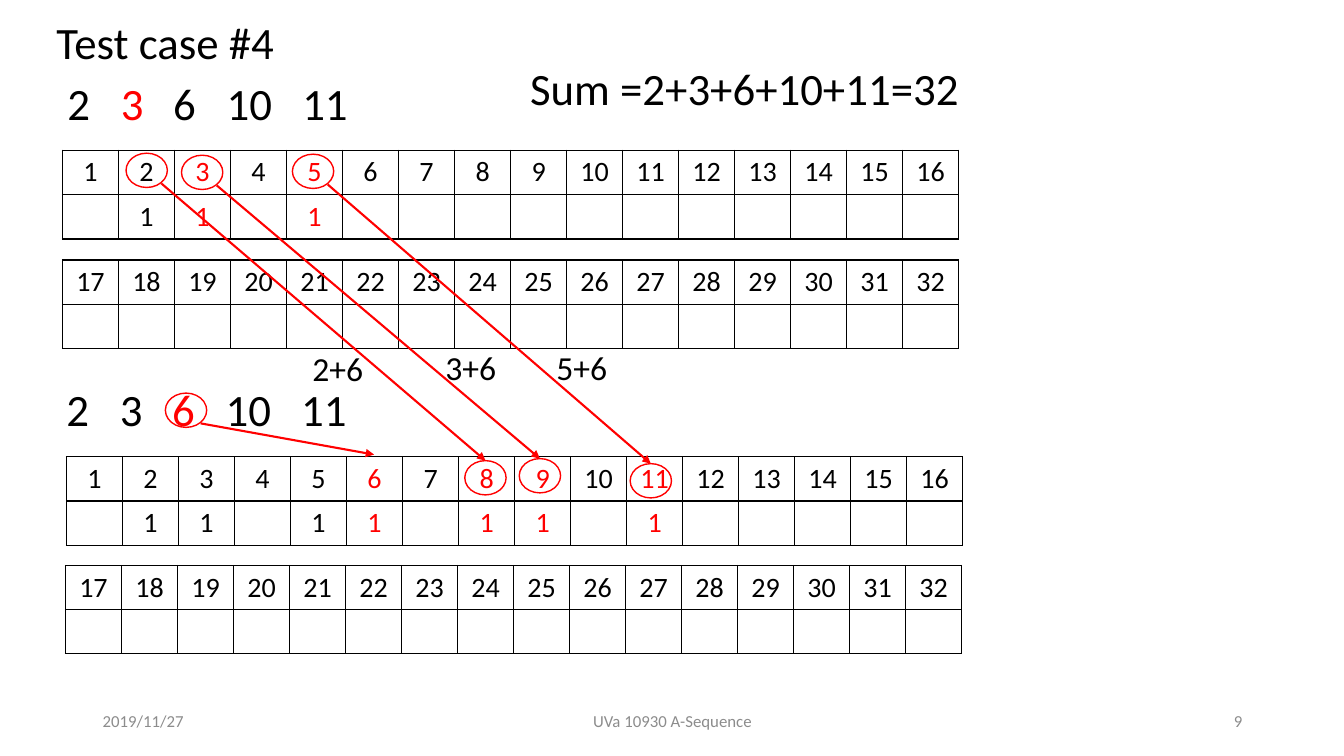
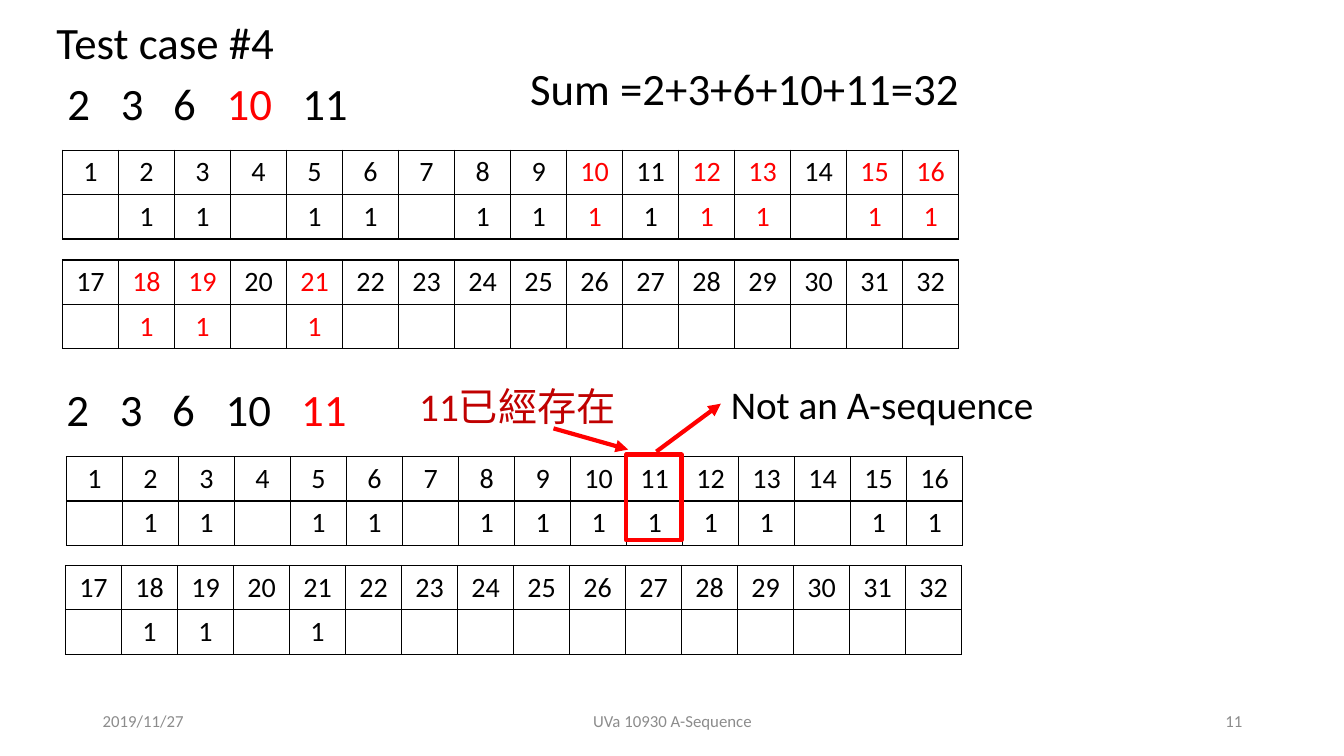
from lxml import etree
from pptx import Presentation
from pptx import util as u
from pptx.dml.color import RGBColor
from pptx.enum import shapes, text
from pptx.oxml.ns import qn

FONT = "Calibri"
HAN = "Noto Sans CJK SC"
BLACK, RED, DARK, GRAY = "000000", "FF0000", "C00000", "8C8C8C"
LEFT, MID, RIGHT = text.PP_ALIGN.LEFT, text.PP_ALIGN.CENTER, text.PP_ALIGN.RIGHT
TERMS = [2, 3, 6, 10, 11]
TABS = [0.53, 1.05, 1.58, 2.33]
COLS = 16
WIDE, HIGH = 0.41, 0.34


def paint(target, color):
    target.rgb = RGBColor.from_string(color)


def style(run, size, color):
    run.font.size = u.Pt(size)
    run.font.name = FONT
    paint(run.font.color, color)


def write(frame, words, size, color=BLACK, align=LEFT, anchor=text.MSO_ANCHOR.TOP):
    frame.text = words
    frame.word_wrap = True
    frame.auto_size = text.MSO_AUTO_SIZE.NONE
    frame.vertical_anchor = anchor
    para = frame.paragraphs[0]
    para.alignment = align
    for run in para.runs:
        style(run, size, color)


def label(slide, box, words, size, **look):
    item = slide.shapes.add_textbox(*map(u.Inches, box))
    write(item.text_frame, words, size, **look)
    return item


def series(slide, x, y, current):
    item = label(slide, (x, y, 3.2, 0.64), "", 32)
    para = item.text_frame.paragraphs[0]
    stops = etree.SubElement(para._p.get_or_add_pPr(), qn("a:tabLst"))
    for pos in TABS:
        etree.SubElement(stops, qn("a:tab"), pos=str(u.Inches(pos)), algn="l")
    for i, term in enumerate(TERMS):
        run = para.add_run()
        run.text = f"\t{term}" if i else str(term)
        style(run, 32, RED if term == current else BLACK)


def border(cell):
    props = cell._tc.get_or_add_tcPr()
    for side in ("lnL", "lnR", "lnT", "lnB"):
        line = etree.SubElement(props, qn(f"a:{side}"), w=str(u.Pt(1)))
        fill = etree.SubElement(line, qn("a:solidFill"))
        etree.SubElement(fill, qn("a:srgbClr"), val=BLACK)
    cell.fill.background()


def grid(slide, x, y, first, sums, fresh):
    box = map(u.Inches, (x, y, 8.89, 0.87))
    table = slide.shapes.add_table(2, COLS, *box).table
    table.first_row = table.horz_banding = False
    for col in range(COLS):
        num = first + col
        color = RED if num in fresh else BLACK
        for row, words in enumerate((str(num), "1" if num in sums else "")):
            cell = table.cell(row, col)
            border(cell)
            cell.text = words
            para = cell.text_frame.paragraphs[0]
            para.alignment = MID
            for run in para.runs:
                style(run, 20, color)


def outline(slide, kind, box, width):
    item = slide.shapes.add_shape(kind, *map(u.Inches, box))
    item.shadow.inherit = False
    item.fill.background()
    paint(item.line.color, RED)
    item.line.width = u.Pt(width)
    return item


def ring(slide, x, y):
    return outline(slide, shapes.MSO_SHAPE.OVAL, (x, y, WIDE, HIGH), 1)


def arrow(slide, start, end, width):
    points = map(u.Inches, (*start, *end))
    item = slide.shapes.add_connector(shapes.MSO_CONNECTOR.STRAIGHT, *points)
    paint(item.line.color, RED)
    item.line.width = u.Pt(width)
    etree.SubElement(item.line._get_or_add_ln(), qn("a:tailEnd"), type="triangle")
    etree.SubElement(item._element.spPr, qn("a:effectLst"))
    return item


def edge(x, y):
    return x + 0.35, y + 0.3


def base(deck, page, terms, upper, lower):
    slide = deck.slides.add_slide(deck.slide_layouts[5])
    title = slide.shapes.title
    title.left, title.top, title.width, title.height = map(u.Inches, (0.46, 0.1, 2.5, 0.64))
    write(title.text_frame, "Test case #4", 32)
    label(slide, (5.16, 0.55, 4.6, 0.64), "Sum =2+3+6+10+11=32", 32)
    for x, y, term in zip((0.57, 0.56), (0.7, 3.74), terms):
        series(slide, x, y, term)
    for x, y, first, state in (
        (0.62, 1.49, 1, upper),
        (0.62, 2.58, 17, upper),
        (0.66, 4.53, 1, lower),
        (0.65, 5.61, 17, lower),
    ):
        grid(slide, x, y, first, *state)
    for x, width, words, align in (
        (0.92, 3, "2019/11/27", LEFT),
        (4.42, 4.5, "UVa 10930 A-Sequence", MID),
        (9.42, 3, str(page), RIGHT),
    ):
        label(slide, (x, 6.95, width, 0.4), words, 12,
              color=GRAY, align=align, anchor=text.MSO_ANCHOR.MIDDLE)
    return slide


def adding(deck):
    upper = {2, 3, 5}, {3, 5}
    lower = {2, 3, 5, 6, 8, 9, 11}, {6, 8, 9, 11}
    slide = base(deck, 9, (3, 6), upper, lower)
    for words, start, end, spot in (
        ("2+6", (1.25, 1.52), (4.61, 4.57), (3, 3.4)),
        ("3+6", (1.8, 1.54), (5.15, 4.55), (4.32, 3.39)),
        ("5+6", (2.9, 1.53), (6.25, 4.6), (5.42, 3.39)),
    ):
        ring(slide, *start)
        goal = ring(slide, *end)
        link = arrow(slide, edge(*start), end, 1.5)
        link.end_connect(goal, 0)
        label(slide, (*spot, 0.96, 0.5), words, 24)
    start = 1.64, 3.9
    ring(slide, *start)
    arrow(slide, edge(*start), (3.71, 4.51), 1.5)


def ending(deck):
    sums = {2, 3, 5, 6, 8, 9, 10, 11, 12, 13, 15, 16, 18, 19, 21}
    fresh = {10, 12, 13, 15, 16, 18, 19, 21}
    slide = base(deck, 11, (10, 11), (sums, fresh), (sums, set()))
    outline(slide, shapes.MSO_SHAPE.RECTANGLE, (6.21, 4.51, 0.55, 0.85), 3)
    verdict = label(slide, (7.15, 3.72, 3.22, 0.57), "Not an A-sequence", 28)
    arrow(slide, (6.51, 4.48), (7.15, 4.01), 3).end_connect(verdict, 1)
    note = label(slide, (4.06, 3.74, 2.3, 0.57), "11", 28, color=DARK)
    run = note.text_frame.paragraphs[0].add_run()
    run.text = "已經存在"
    style(run, 28, DARK)
    etree.SubElement(run._r.get_or_add_rPr(), qn("a:ea"), typeface=HAN)
    arrow(slide, (5.49, 4.25), (6.23, 4.46), 3)


def main():
    deck = Presentation()
    deck.slide_width, deck.slide_height = u.Inches(13.33), u.Inches(7.5)
    adding(deck)
    ending(deck)
    deck.save("out.pptx")


if __name__ == "__main__":
    main()
